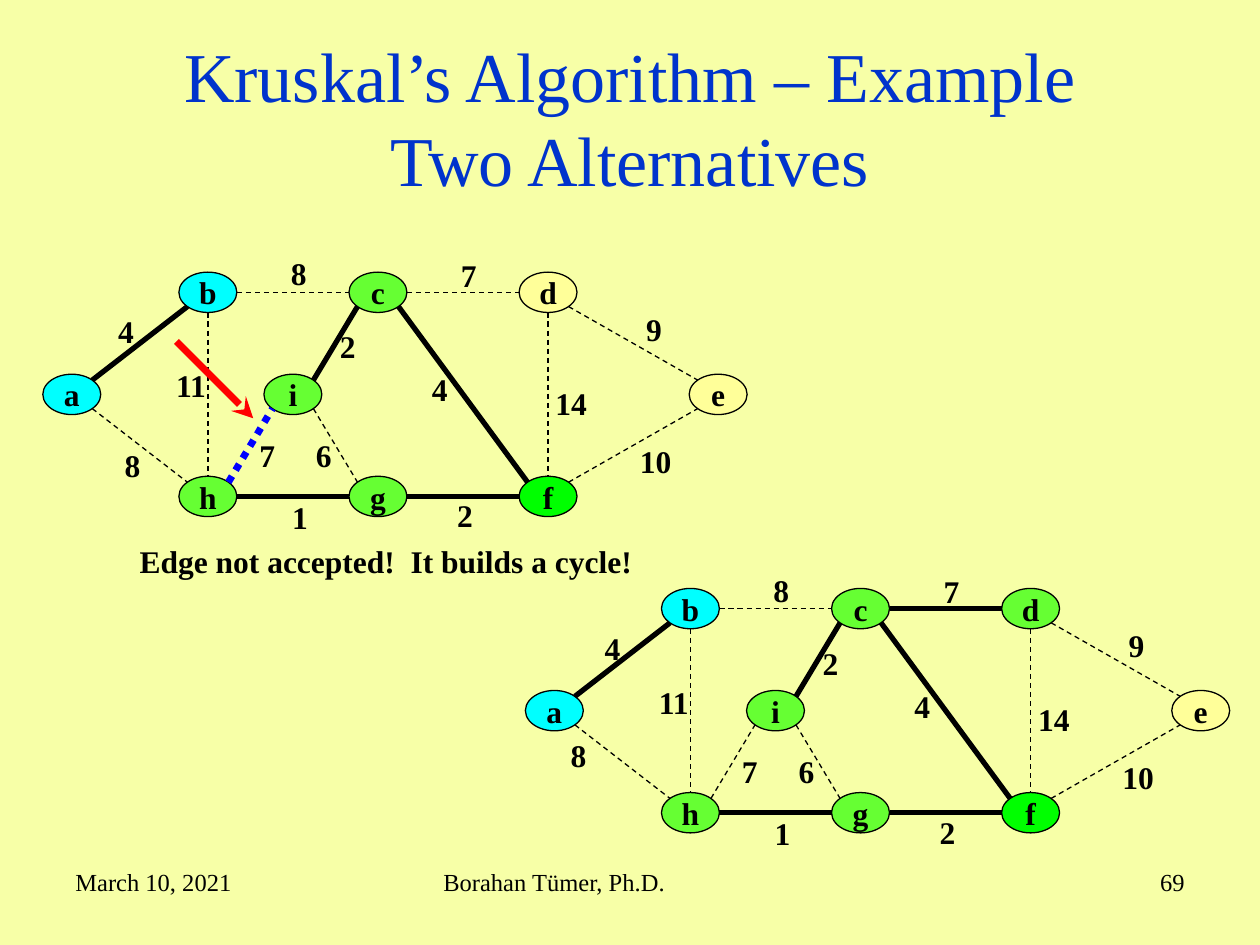
from math import atan2, cos, pi, sin

from lxml.etree import SubElement
from pptx import Presentation
from pptx.dml.color import RGBColor
from pptx.enum.dml import MSO_LINE
from pptx.enum.shapes import MSO_CONNECTOR, MSO_SHAPE
from pptx.enum.text import MSO_ANCHOR, MSO_AUTO_SIZE, PP_ALIGN
from pptx.oxml.ns import qn
from pptx.util import Inches, Pt

BLACK, CYAN, LIME, GREEN, CREAM = "000000", "00FFFF", "66FF33", "00FF00", "FFFF99"
NODE_W, NODE_H = 0.46, 0.32
LEFT, CENTER, RIGHT = PP_ALIGN.LEFT, PP_ALIGN.CENTER, PP_ALIGN.RIGHT

TOP, MIDDLE, BOTTOM = 2.32, 3.13, 3.94
COLUMNS = [1.65 + 1.35 * n for n in range(4)]
NODES = {
    "a": (0.57, MIDDLE),
    "b": (COLUMNS[0], TOP),
    "c": (COLUMNS[1], TOP),
    "d": (COLUMNS[2], TOP),
    "e": (COLUMNS[3], MIDDLE),
    "i": ((COLUMNS[0] + COLUMNS[1]) / 2, MIDDLE),
    "h": (COLUMNS[0], BOTTOM),
    "g": (COLUMNS[1], BOTTOM),
    "f": (COLUMNS[2], BOTTOM),
}
# edge: weight, left and top of its label
EDGES = {
    "ab": ("4", 0.84, 2.43),
    "bc": ("8", 2.21, 1.97),
    "cd": ("7", 3.56, 1.98),
    "de": ("9", 5.03, 2.41),
    "df": ("14", 4.31, 3.0),
    "fe": ("10", 4.98, 3.46),
    "cf": ("4", 3.33, 2.89),
    "gf": ("2", 3.53, 3.89),
    "ig": ("6", 2.41, 3.41),
    "ic": ("2", 2.6, 2.55),
    "bh": ("11", 1.3, 2.86),
    "ah": ("8", 0.89, 3.49),
    "hg": ("1", 2.22, 3.9),
    "hi": ("7", 1.96, 3.41),
}
FILLS = {"a": CYAN, "b": CYAN, "c": LIME, "d": CREAM, "e": CREAM,
         "i": LIME, "h": LIME, "g": LIME, "f": GREEN}
CHOSEN = {"ab", "ic", "cf", "hg", "gf"}


def rgb(value):
    return RGBColor.from_string(value)


def rim(start, end):
    """Point on the rim of node start, at the multiple of 45° nearest to end."""
    (x, y), (x2, y2) = start, end
    angle = round(atan2(y2 - y, x2 - x) / (pi / 4)) * pi / 4
    return x + NODE_W / 2 * cos(angle), y + NODE_H / 2 * sin(angle)


class SlideBuilder:
    font = "Times New Roman"

    def __init__(self, slide):
        self.slide = slide
        self.shapes = slide.shapes

    def background(self, color):
        fill = self.slide.background.fill
        fill.solid()
        fill.fore_color.rgb = rgb(color)

    def style(self, tf, text, size, bold, color, align):
        tf.text = text
        p = tf.paragraphs[0]
        p.alignment = align
        p.font.name, p.font.size, p.font.bold = self.font, Pt(size), bold
        p.font.color.rgb = rgb(color)

    def text(self, text, x, y, w, h, size, color=BLACK, align=LEFT, anchor=MSO_ANCHOR.TOP):
        tf = self.shapes.add_textbox(Inches(x), Inches(y), Inches(w), Inches(h)).text_frame
        tf.word_wrap = True
        tf.vertical_anchor = anchor
        self.style(tf, text, size, False, color, align)

    def label(self, text, x, y, w):
        """Bold one-line text that does not wrap."""
        tf = self.shapes.add_textbox(Inches(x), Inches(y), Inches(w), Inches(0.4)).text_frame
        tf.word_wrap = False
        tf.auto_size = MSO_AUTO_SIZE.SHAPE_TO_FIT_TEXT
        self.style(tf, text, 18, True, BLACK, LEFT)

    def node(self, name, x, y, color):
        sp = self.shapes.add_shape(
            MSO_SHAPE.OVAL, Inches(x - NODE_W / 2), Inches(y - NODE_H / 2),
            Inches(NODE_W), Inches(NODE_H))
        sp.shadow.inherit = False
        sp.fill.solid()
        sp.fill.fore_color.rgb = rgb(color)
        sp.line.color.rgb = rgb(BLACK)
        sp.line.width = Pt(0.75)
        tf = sp.text_frame
        tf.word_wrap = False
        tf.vertical_anchor = MSO_ANCHOR.MIDDLE
        self.style(tf, name, 18, True, BLACK, CENTER)

    def line(self, start, end, color=BLACK, width=0.75, dash=None, arrow=False):
        points = [Inches(v) for v in (*start, *end)]
        cxn = self.shapes.add_connector(MSO_CONNECTOR.STRAIGHT, *points)
        cxn.line.color.rgb = rgb(color)
        cxn.line.width = Pt(width)
        if dash:
            cxn.line.dash_style = dash
        properties = cxn._element.spPr
        if arrow:
            SubElement(properties.find(qn("a:ln")), qn("a:tailEnd"), type="stealth")
        SubElement(properties, qn("a:effectLst"))

    def graph(self, dx, dy, fills, chosen, rejected=(), moved=None):
        """Graph shifted by dx, dy; moved holds extra shifts of edge labels."""
        places = {name: (x + dx, y + dy) for name, (x, y) in NODES.items()}
        for name, place in places.items():
            self.node(name, *place, fills[name])
        for edge, (weight, x, y) in EDGES.items():
            start, end = (places[name] for name in edge)
            ends = rim(start, end), rim(end, start)
            if edge in chosen:
                self.line(*ends, width=3)
            elif edge in rejected:
                self.line(*ends, color="0000FF", width=4, dash=MSO_LINE.ROUND_DOT)
            else:
                self.line(*ends, dash=MSO_LINE.DASH)
            mx, my = (moved or {}).get(edge, (0, 0))
            self.label(weight, x + dx + mx, y + dy + my, 0.21 + 0.12 * len(weight))


def main():
    prs = Presentation()
    prs.slide_width, prs.slide_height = Inches(10), Inches(7.5)
    s = SlideBuilder(prs.slides.add_slide(prs.slide_layouts[6]))
    s.background("F7FFA7")

    s.text("Kruskal’s Algorithm – Example\vTwo Alternatives", 0.5, 0.3, 9, 1.25, 40,
           "0033CC", CENTER, MSO_ANCHOR.MIDDLE)
    s.graph(3.83, 2.51, {**FILLS, "d": LIME}, CHOSEN | {"cd"},
            moved={"ab": (0.03, 0), "ah": (-0.29, -0.21)})
    s.graph(0, 0, FILLS, CHOSEN, rejected={"hi"})
    s.line((1.4, 2.71), (2.01, 3.32), "FF0000", 4, arrow=True)
    s.label("Edge not accepted!  It builds a cycle!", 1.01, 4.25, 4.11)

    s.text("March 10, 2021", 0.5, 6.83, 2.33, 0.52, 14)
    s.text("Borahan Tümer, Ph.D.", 3.42, 6.83, 3.17, 0.52, 14)
    s.text("69", 7.17, 6.83, 2.33, 0.52, 14, align=RIGHT)
    prs.save("out.pptx")


if __name__ == "__main__":
    main()
